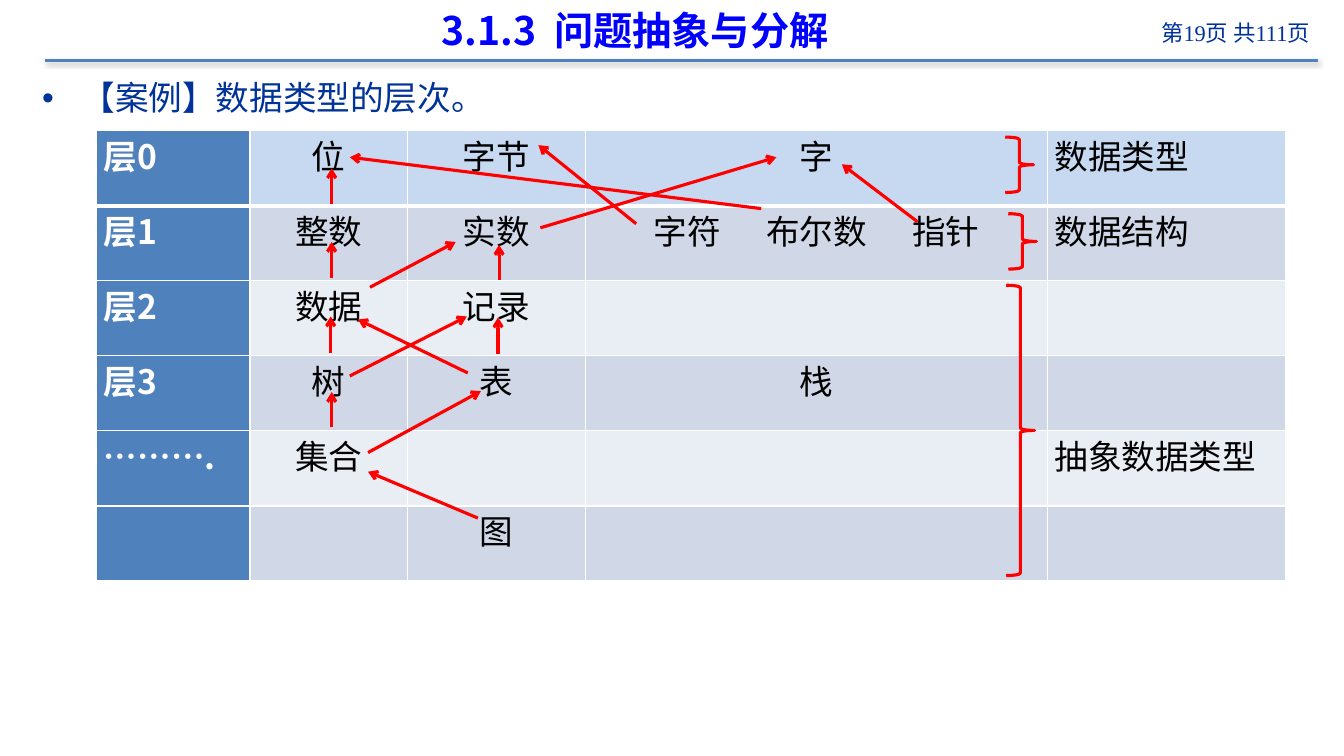
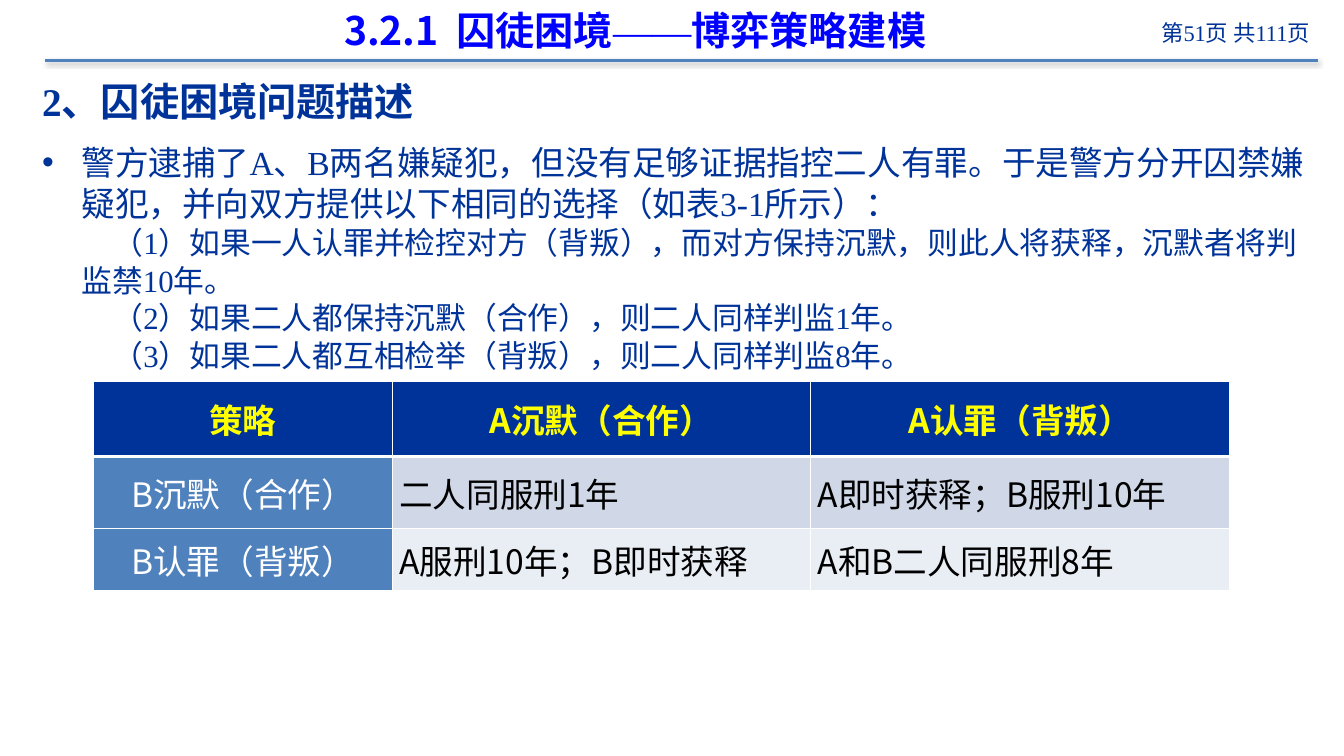
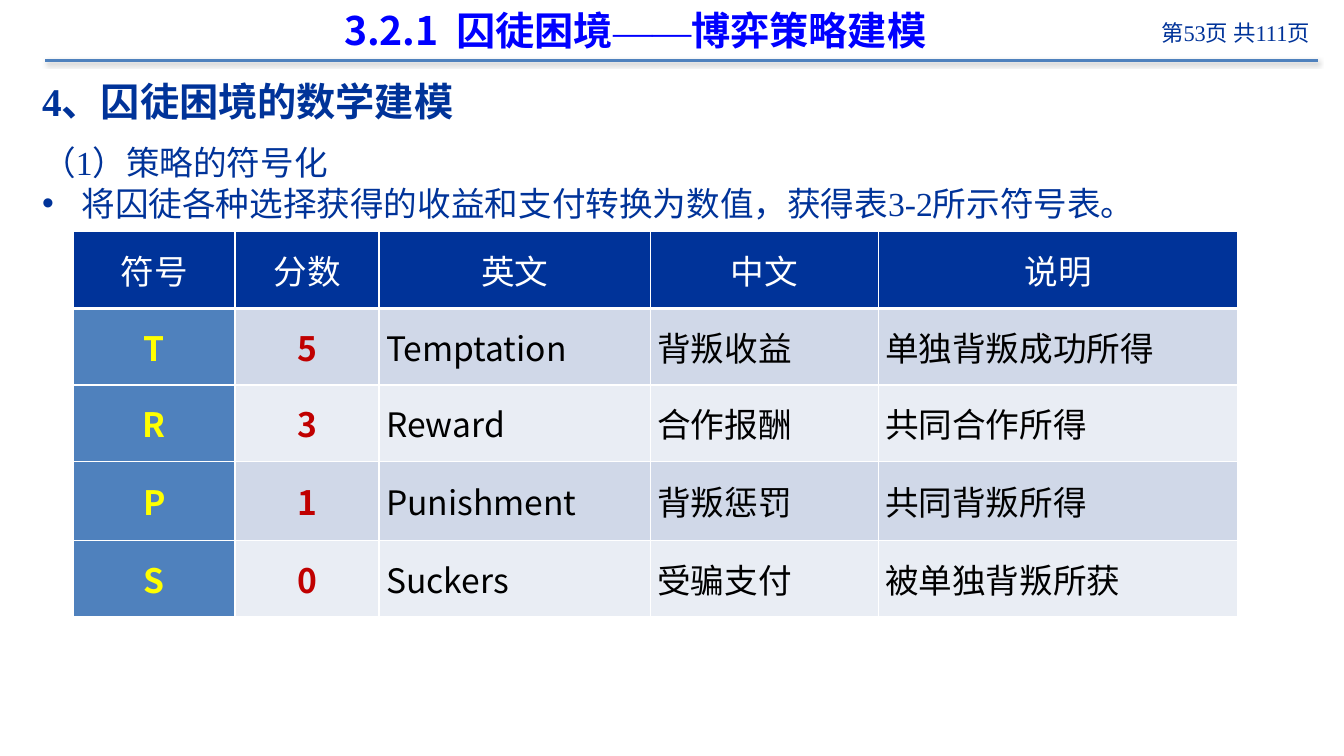
from itertools import accumulate
from lxml.etree import SubElement
from pptx import Presentation
from pptx.dml.color import RGBColor
from pptx.enum.shapes import MSO_CONNECTOR, MSO_SHAPE
from pptx.enum.text import MSO_ANCHOR, PP_ALIGN
from pptx.oxml.ns import qn
from pptx.util import Pt

PX = 9144
SANS, SERIF = "Noto Sans CJK SC", "Times New Roman"
NAVY = RGBColor(0x00, 0x33, 0x99)
TITLE_BLUE = RGBColor(0x00, 0x00, 0xFF)
STEEL = RGBColor(0x4F, 0x81, 0xBD)
SKY = RGBColor(0xC6, 0xD9, 0xF1)
BANDS = [RGBColor(0xD0, 0xD8, 0xE8), RGBColor(0xE9, 0xED, 0xF4)]
WHITE = RGBColor(0xFF, 0xFF, 0xFF)
BLACK = RGBColor(0x00, 0x00, 0x00)
YELLOW = RGBColor(0xFF, 0xFF, 0x00)
RED = RGBColor(0xFF, 0x00, 0x00)
DARK_RED = RGBColor(0xC0, 0x00, 0x00)
CENTER, JUSTIFY = PP_ALIGN.CENTER, PP_ALIGN.JUSTIFY

PAGE_COUNT = 111
LINE_FACTOR = 1.22
SPACE_EM = 0.224
CELL_SIZE = 24

BULLET = dict(size=24, left=39, first=-39, bullet=True)
HEADING = dict(size=28, bold=True)
OPTION = dict(size=22, left=39, first=31)

PLAIN = (BLACK, False, JUSTIFY)
PLAIN_CENTER = (BLACK, False, CENTER)
LEVEL_STYLES = [(WHITE, True, JUSTIFY)] + [PLAIN_CENTER] * 3 + [PLAIN]

SLIDES = [
    dict(
        page=19, number="3.1.3", title="问题抽象与分解",
        body=[("【案例】数据类型的层次。", BULLET)],
        table=dict(
            at=(96, 129), widths=[152, 156, 177, 458, 236],
            heights=[75, 74] * 3, anchor=MSO_ANCHOR.TOP,
            header_fills=[STEEL] + [SKY] * 4,
            header_styles=LEVEL_STYLES, styles=LEVEL_STYLES,
            rows=[
                ["层0", "位", "字节", "字", "数据类型"],
                ["层1", "整数", "实数", ("字符", "布尔数", "指针"), "数据结构"],
                ["层2", "数据", "记录", "", ""],
                ["层3", "树", "表", "栈", ""],
                ["……….", "集合", "", "", "抽象数据类型"],
                ["", "", "图", "", ""],
            ],
        ),
        arrows=[
            (464, 370, 355, 317), (329, 202, 329, 167), (329, 276, 329, 240),
            (328, 350, 328, 314), (329, 424, 329, 389), (474, 514, 365, 468),
            (365, 449, 477, 388), (347, 373, 463, 314), (495, 278, 495, 243),
            (494, 351, 494, 315), (631, 222, 534, 144), (367, 285, 452, 240),
            (536, 226, 770, 156), (755, 207, 347, 156), (910, 220, 835, 163),
        ],
        braces=[(997, 136, 28, 55), (1000, 212, 28, 55), (998, 283, 28, 288)],
    ),
    dict(
        page=51, number="3.2.1", title="囚徒困境——博弈策略建模",
        body=[
            ("2、囚徒困境问题描述", HEADING),
            ("警方逮捕了A、B两名嫌疑犯，但没有足够证据指控二人有罪。于是警方分开囚禁嫌疑犯，"
             "并向双方提供以下相同的选择（如表3-1所示）：", dict(BULLET, before=12)),
            ("（1）如果一人认罪并检控对方（背叛），而对方保持沉默，则此人将获释，"
             "沉默者将判监禁10年。", OPTION),
            ("（2）如果二人都保持沉默（合作），则二人同样判监1年。", OPTION),
            ("（3）如果二人都互相检举（背叛），则二人同样判监8年。", OPTION),
        ],
        table=dict(
            at=(93, 378), widths=[296, 415, 416], heights=[75, 71, 62],
            anchor=MSO_ANCHOR.MIDDLE,
            header_fills=[NAVY] * 3, header_styles=[(YELLOW, True, CENTER)] * 3,
            styles=[(WHITE, False, CENTER), PLAIN, PLAIN],
            rows=[
                ["策略", "A沉默（合作）", "A认罪（背叛）"],
                ["B沉默（合作）", "二人同服刑1年", "A即时获释；B服刑10年"],
                ["B认罪（背叛）", "A服刑10年；B即时获释", "A和B二人同服刑8年"],
            ],
        ),
    ),
    dict(
        page=53, number="3.2.1", title="囚徒困境——博弈策略建模",
        body=[
            ("4、囚徒困境的数学建模", HEADING),
            ("（1）策略的符号化", dict(size=24, before=12)),
            ("将囚徒各种选择获得的收益和支付转换为数值，获得表3-2所示符号表。", BULLET),
        ],
        table=dict(
            at=(73, 230), widths=[160, 143, 269, 226, 357],
            heights=[76, 76, 76, 78, 76], anchor=MSO_ANCHOR.MIDDLE,
            header_fills=[NAVY] * 5, header_styles=[(WHITE, False, CENTER)] * 5,
            styles=[(YELLOW, True, CENTER), (DARK_RED, True, CENTER)] + [PLAIN] * 3,
            rows=[
                ["符号", "分数", "英文", "中文", "说明"],
                ["T", "5", "Temptation", "背叛收益", "单独背叛成功所得"],
                ["R", "3", "Reward", "合作报酬", "共同合作所得"],
                ["P", "1", "Punishment", "背叛惩罚", "共同背叛所得"],
                ["S", "0", "Suckers", "受骗支付", "被单独背叛所获"],
            ],
        ),
    ),
]


def add_run(paragraph, text, size, color, bold=False, latin=SANS):
    run = paragraph.add_run()
    run.text = text
    run.font.size = Pt(size)
    run.font.bold = bold
    run.font.color.rgb = color
    run.font.name = latin
    props = run.font._element
    SubElement(props, qn("a:ea"), typeface=SANS)
    return props


def add_gap(paragraph, spaces, size, color, bold=False):
    props = add_run(paragraph, " ", size, color, bold)
    props.set("spc", str(round((spaces - 1) * SPACE_EM * size * 100)))


def add_frame(slide, left, top, width, height, inset_top=5):
    box = slide.shapes.add_textbox(left * PX, top * PX, width * PX, height * PX)
    frame = box.text_frame
    frame.word_wrap = True
    frame.margin_left = frame.margin_right = 10 * PX
    frame.margin_top, frame.margin_bottom = inset_top * PX, 5 * PX
    return frame


def add_line(slide, x1, y1, x2, y2, color, width):
    line = slide.shapes.add_connector(
        MSO_CONNECTOR.STRAIGHT, x1 * PX, y1 * PX, x2 * PX, y2 * PX)
    line.line.color.rgb = color
    line.line.width = Pt(width)
    effects = SubElement(line._element.spPr, qn("a:effectLst"))
    return line, effects


def add_header(slide, page, number, title):
    rule, effects = add_line(slide, 45, 60, 1307, 60, STEEL, 2)
    shadow = SubElement(effects, qn("a:outerShdw"), blurRad=str(Pt(3.1)),
                        dist=str(Pt(1.6)), dir="5400000", rotWithShape="0")
    black = SubElement(shadow, qn("a:srgbClr"), val="000000")
    SubElement(black, qn("a:alpha"), val="38000")

    counter = add_frame(slide, 1083, 14, 226, 45).paragraphs[0]
    counter.alignment = PP_ALIGN.RIGHT
    counter.line_spacing = Pt(16 * LINE_FACTOR)
    add_run(counter, f"第{page}页 共{PAGE_COUNT}页", 16, NAVY, latin=SERIF)

    frame = add_frame(slide, 77, 2, 1106, 56)
    frame.vertical_anchor = MSO_ANCHOR.MIDDLE
    heading = frame.paragraphs[0]
    heading.alignment = CENTER
    add_run(heading, number, 28, TITLE_BLUE, True)
    add_gap(heading, 2, 28, TITLE_BLUE, True)
    before, dash, after = title.partition("——")
    add_run(heading, before, 28, TITLE_BLUE, True)
    if dash:
        dash_props = add_run(heading, dash, 28, TITLE_BLUE, latin=SERIF)
        dash_props.find(qn("a:ea")).set("typeface", SERIF)
        add_run(heading, after, 28, TITLE_BLUE, True)


def add_body(slide, lines):
    frame = add_frame(slide, 32, 69, 1274, 656, inset_top=7)
    for index, (text, look) in enumerate(lines):
        paragraph = frame.add_paragraph() if index else frame.paragraphs[0]
        props = paragraph._p.get_or_add_pPr()
        props.set("marL", str(look.get("left", 0) * PX))
        props.set("indent", str(look.get("first", 0) * PX))
        if look.get("bullet"):
            SubElement(props, qn("a:buFont"), typeface="Arial")
            SubElement(props, qn("a:buChar"), char="•")
        paragraph.line_spacing = Pt(look["size"] * LINE_FACTOR)
        paragraph.space_before = Pt(look.get("before", 0))
        add_run(paragraph, text, look["size"], NAVY, look.get("bold", False), SERIF)


def add_borders(cell, row):
    props = cell._tc.get_or_add_tcPr()
    widths = dict(lnL=1, lnR=1, lnT=3 if row == 1 else 1, lnB=3 if row == 0 else 1)
    for side, width in widths.items():
        edge = SubElement(props, qn(f"a:{side}"), w=str(Pt(width)))
        fill = SubElement(edge, qn("a:solidFill"))
        SubElement(fill, qn("a:srgbClr"), val=str(WHITE))


def fill_cell(cell, words, style):
    color, bold, align = style
    paragraph = cell.text_frame.paragraphs[0]
    paragraph.alignment = align
    for index, word in enumerate([words] if isinstance(words, str) else words):
        if index:
            add_gap(paragraph, 6, CELL_SIZE, color, bold)
        add_run(paragraph, word, CELL_SIZE, color, bold)


def add_grid(slide, at, widths, heights, anchor, header_fills, header_styles, styles, rows):
    left, top = at
    grid = slide.shapes.add_table(
        len(rows), len(widths), left * PX, top * PX,
        sum(widths) * PX, sum(heights) * PX).table
    for column, width in zip(grid.columns, widths):
        column.width = width * PX
    for r, (words, height) in enumerate(zip(rows, heights)):
        grid.rows[r].height = height * PX
        fills = [STEEL] + [BANDS[(r - 1) % 2]] * (len(widths) - 1) if r else header_fills
        for c, word in enumerate(words):
            cell = grid.cell(r, c)
            cell.vertical_anchor = anchor
            cell.margin_left = cell.margin_right = 7 * PX
            cell.margin_top = cell.margin_bottom = 0
            add_borders(cell, r)
            cell.fill.solid()
            cell.fill.fore_color.rgb = fills[c]
            if word:
                fill_cell(cell, word, (styles if r else header_styles)[c])


def add_arrow(slide, ends):
    arrow, _ = add_line(slide, *ends, RED, 2.25)
    SubElement(arrow.line._get_or_add_ln(), qn("a:tailEnd"), type="arrow")


def add_brace(slide, place):
    brace = slide.shapes.add_shape(MSO_SHAPE.RIGHT_BRACE, *(v * PX for v in place))
    brace.shadow.inherit = False
    brace.fill.background()
    brace.line.color.rgb = RED
    brace.line.width = Pt(2.25)


def main():
    deck = Presentation()
    deck.slide_width, deck.slide_height = 1333 * PX, 750 * PX
    for content in SLIDES:
        slide = deck.slides.add_slide(deck.slide_layouts[6])
        add_header(slide, content["page"], content["number"], content["title"])
        add_body(slide, content["body"])
        add_grid(slide, **content["table"])
        for ends in content.get("arrows", []):
            add_arrow(slide, ends)
        for place in content.get("braces", []):
            add_brace(slide, place)
    deck.save("out.pptx")


if __name__ == "__main__":
    main()
